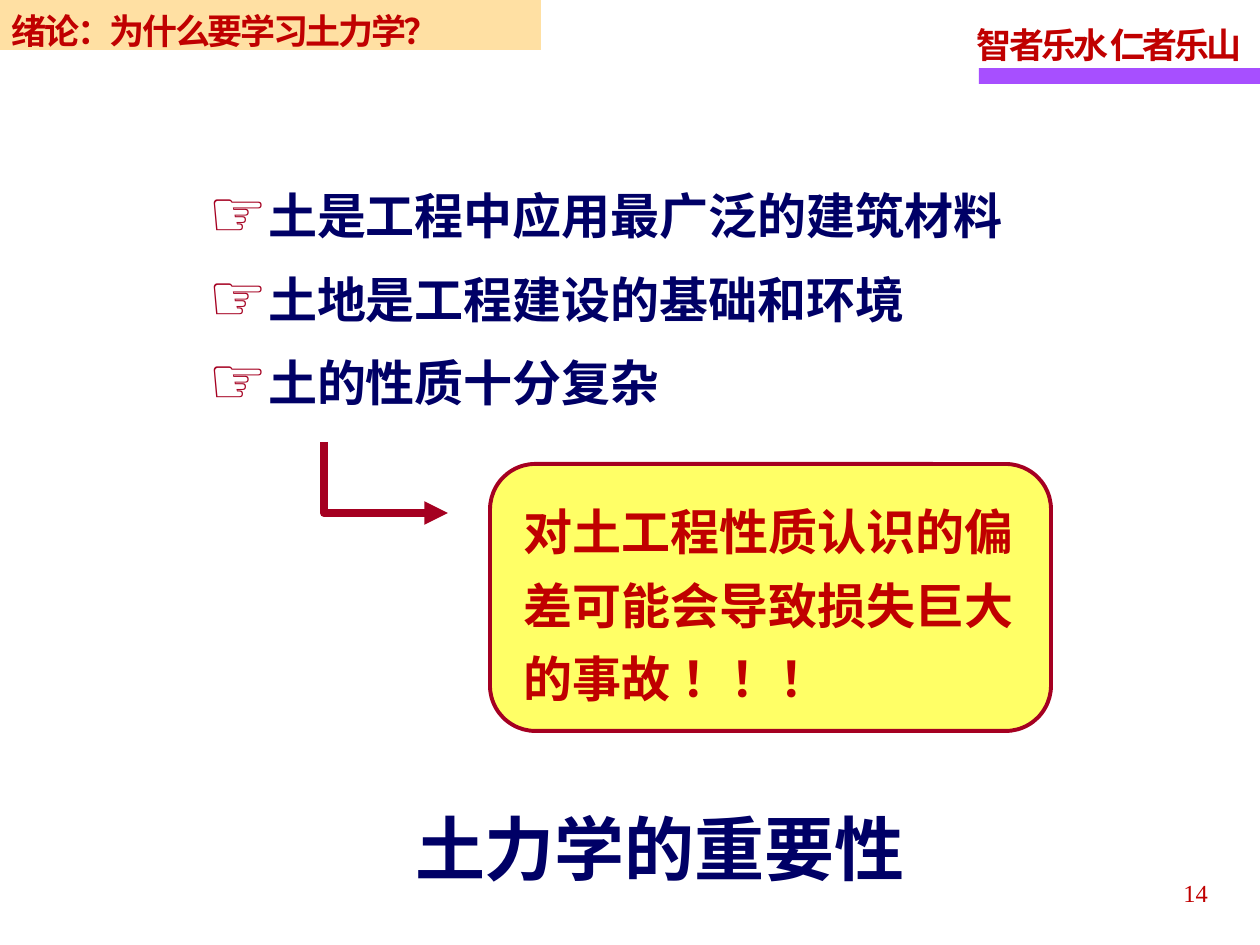
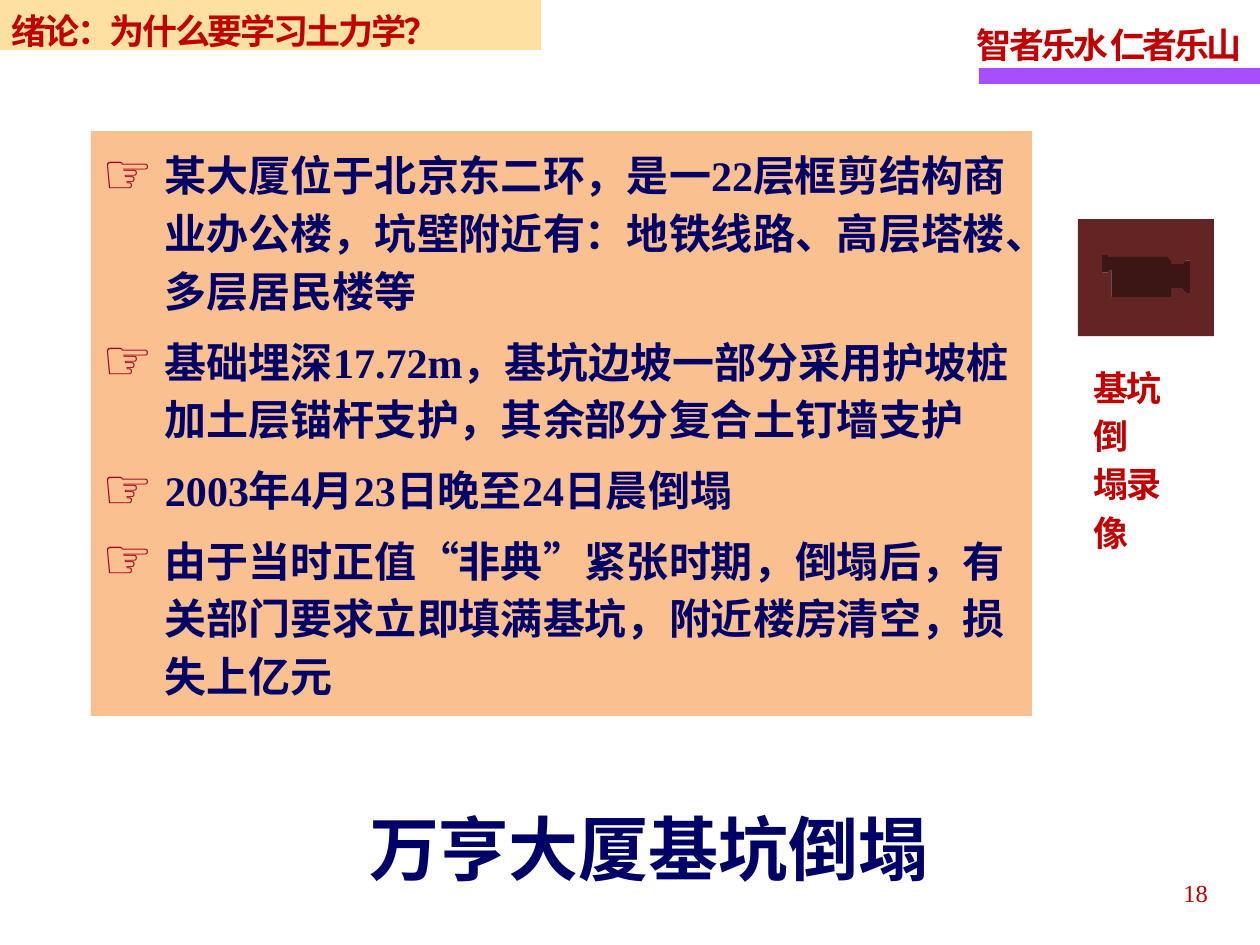
import pptx
import pptx.util
import pptx.dml.color
import pptx.enum.shapes
import pptx.enum.text
import pptx.oxml
import pptx.oxml.ns
import lxml.etree

PX = 914400 / 126
Pt = pptx.util.Pt
SHAPE = pptx.enum.shapes.MSO_SHAPE
ALIGN = pptx.enum.text.PP_ALIGN
ANCHOR = pptx.enum.text.MSO_ANCHOR
qn = pptx.oxml.ns.qn
RGB = pptx.dml.color.RGBColor.from_string
CJK = "Noto Sans CJK SC"
SERIF = "Times New Roman"
COLORS = {
    "navy": "000066", "red": "C00000", "crimson": "A50021",
    "purple": "A74FFF", "gold": "FFCC66", "yellow": "FFFF66",
    "peach": "FAC090", "brown": "632523",
}


def place(s, box, kind=None, fill=None, sp=None):
    x, y, w, h = [round(v * PX) for v in box]
    if sp is not None:
        sp.left, sp.top, sp.width, sp.height = x, y, w, h
    elif kind is None:
        sp = s.shapes.add_textbox(x, y, w, h)
    else:
        sp = s.shapes.add_shape(kind, x, y, w, h)
        sp.shadow.inherit = False
        sp.line.fill.background()
    if fill:
        sp.fill.solid()
        sp.fill.fore_color.rgb = RGB(COLORS[fill])
    return sp


def write(sp, texts, size, color, line, font=SERIF, bold=True, top=6,
          gap=0, spc=0, indent=0, align=ALIGN.LEFT):
    tf = sp.text_frame
    tf.word_wrap = True
    tf.auto_size = pptx.enum.text.MSO_AUTO_SIZE.NONE
    tf.vertical_anchor = ANCHOR.TOP
    tf.margin_left = tf.margin_right = round(12 * PX)
    tf.margin_top = round(top * PX)
    tf.margin_bottom = 0
    for i, text in enumerate(texts):
        p = tf.paragraphs[0] if i == 0 else tf.add_paragraph()
        p.text = text
        p.alignment = align
        p.line_spacing = line
        p.space_before = Pt(gap if i else 0)
        p.space_after = Pt(gap)
        if indent:
            pPr = p._p.get_or_add_pPr()
            pPr.set("marL", str(round(indent * PX)))
            pPr.set("indent", str(-round(indent * PX)))
            clr = lxml.etree.SubElement(pPr, qn("a:buClr"))
            lxml.etree.SubElement(clr, qn("a:srgbClr"), val=COLORS["crimson"])
            lxml.etree.SubElement(pPr, qn("a:buSzPct"), val="135000")
            lxml.etree.SubElement(pPr, qn("a:buChar"), char="☞")
        for r in p.runs:
            r.font.size = Pt(size)
            r.font.bold = bold
            r.font.name = font
            r.font.color.rgb = RGB(COLORS[color])
            rPr = r._r.get_or_add_rPr()
            lxml.etree.SubElement(rPr, qn("a:ea"), typeface=CJK)
            if spc:
                rPr.set("spc", str(spc))


prs = pptx.Presentation()
prs.slide_width = round(1260 * PX)
prs.slide_height = round(945 * PX)

pages = [
    dict(number="14", title="土力学的重要性", title_box=(403, 792, 554, 97),
         body_box=(197, 160, 874, 257), fill=None,
         style=dict(size=28, line=Pt(42), gap=2.8, indent=59, font=CJK),
         items=["土是工程中应用最广泛的建筑材料",
                "土地是工程建设的基础和环境",
                "土的性质十分复杂"]),
    dict(number="18", title="万亨大厦基坑倒塌", title_box=(357, 792, 592, 97),
         body_box=(91, 131, 941, 585), fill="peach",
         style=dict(size=24, line=Pt(33.1), gap=3.6, indent=62),
         items=["某大厦位于北京东二环，是一22层框剪结构商业办公楼，坑壁附近有：地铁线路、高层塔楼、多层居民楼等",
                "基础埋深17.72m，基坑边坡一部分采用护坡桩加土层锚杆支护，其余部分复合土钉墙支护",
                "2003年4月23日晚至24日晨倒塌",
                "由于当时正值“非典”紧张时期，倒塌后，有关部门要求立即填满基坑，附近楼房清空，损失上亿元"]),
]

slides = []
for page in pages:
    s = prs.slides.add_slide(prs.slide_layouts[1])
    slides.append(s)
    title = place(s, page["title_box"], sp=s.shapes.title)
    write(title, [page["title"]], 40, "navy", Pt(48), CJK, top=14)
    body = place(s, page["body_box"], fill=page["fill"], sp=s.placeholders[1])
    write(body, page["items"], color="navy", top=11, **page["style"])

    place(s, (979, 68, 281, 16), SHAPE.RECTANGLE, "purple")
    motto = place(s, (965, 9, 297, 61))
    write(motto, ["智者乐水 仁者乐山"], 20, "red", Pt(27.6), top=8, spc=-170)
    motto.text_frame.word_wrap = False
    number = place(s, (926, 864, 294, 50))
    write(number, [page["number"]], 14, "red", 1.15, bold=False, top=10,
          align=ALIGN.RIGHT)
    band = place(s, (0, 0, 541, 50), SHAPE.RECTANGLE, "gold")
    gold = band._element.spPr.find(".//" + qn("a:srgbClr"))
    lxml.etree.SubElement(gold, qn("a:alpha"), val="60000")
    write(band, ["绪论：为什么要学习土力学？"], 20, "red", Pt(24), CJK, top=10,
          spc=-140)
    band.text_frame.vertical_anchor = ANCHOR.MIDDLE

importance, collapse = slides

callout = place(importance, (490, 464, 561, 267), SHAPE.ROUNDED_RECTANGLE, "yellow")
callout.adjustments[0] = 0.17
callout.line.color.rgb = RGB(COLORS["crimson"])
callout.line.width = Pt(2.25)
warning = place(importance, (512, 476, 525, 233))
write(warning, ["对土工程性质认识的偏差可能会导致损失巨大的事故 ！！！"],
      28, "red", Pt(42), top=11)

fb = importance.shapes.build_freeform(324, 442, scale=PX)
fb.add_line_segments([(324, 513), (448, 513)], close=False)
arrow = fb.convert_to_shape()
arrow.shadow.inherit = False
arrow.fill.background()
arrow.line.color.rgb = RGB(COLORS["crimson"])
arrow.line.width = Pt(4.5)
lxml.etree.SubElement(arrow.line._get_or_add_ln(), qn("a:tailEnd"), type="triangle")

place(collapse, (1078, 219, 136, 117), SHAPE.ACTION_BUTTON_MOVIE, "brown")
label = place(collapse, (1082, 350, 123, 105))
write(label, ["基坑倒\v塌录像"], 20, "red", Pt(27.6), "Arial", top=10, spc=-160)
label.text_frame.margin_right = round(28 * PX)

prs.save("out.pptx")
